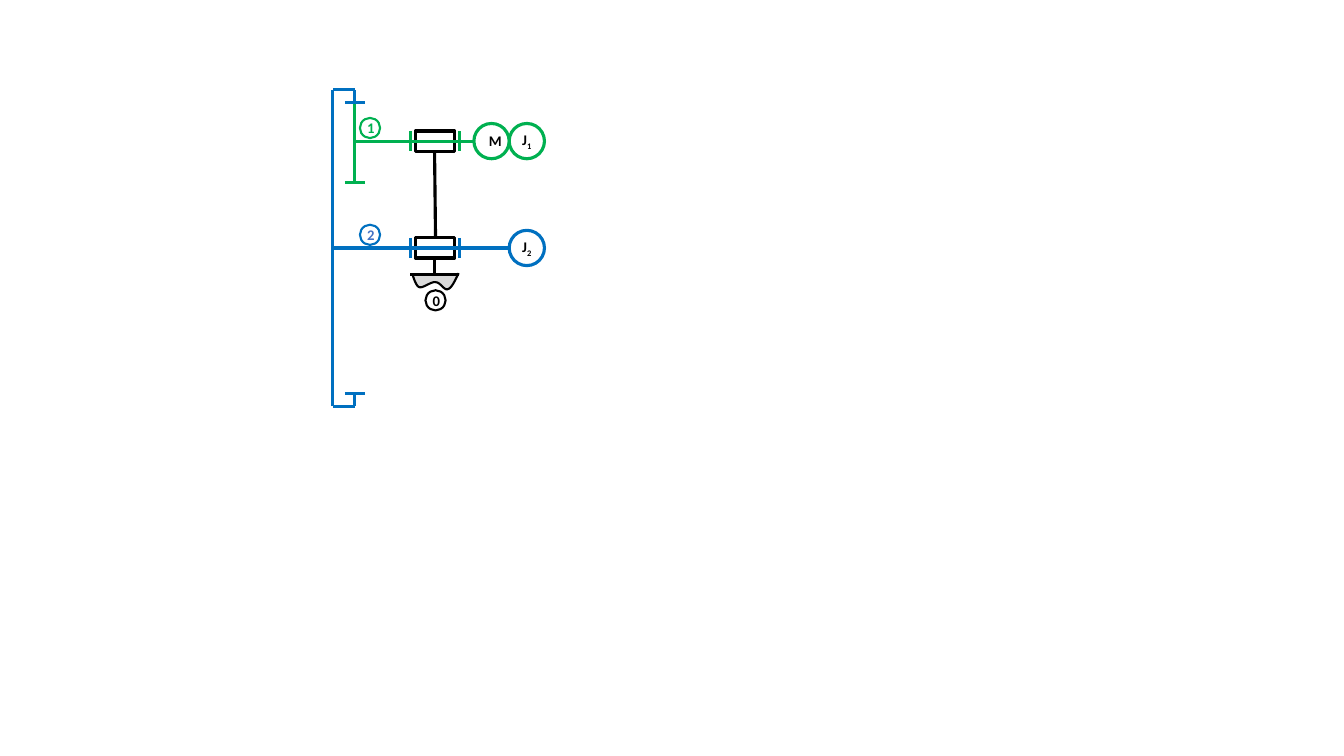
"""Draw the kinematic diagram of an internal gear pair driven by a motor."""
import lxml.etree
import pptx
import pptx.dml.color
import pptx.enum.shapes
import pptx.enum.text
import pptx.oxml.ns
import pptx.util

Inches = pptx.util.Inches
RGBColor = pptx.dml.color.RGBColor
Shapes = pptx.enum.shapes.MSO_SHAPE

BLACK = RGBColor(0, 0, 0)
WHITE = RGBColor(255, 255, 255)
GREY = RGBColor(0xD9, 0xD9, 0xD9)
GREEN = RGBColor(0x00, 0xB0, 0x50)
BLUE = RGBColor(0x00, 0x70, 0xC0)
LABEL_BLUE = RGBColor(0x44, 0x72, 0xC4)
THICK, THIN = 2.25, 1.5
BODY_RADIUS, LABEL_RADIUS = 0.175, 0.1
AXIS_1, AXIS_2 = 1.4, 2.46
RING_X, GEAR_X, BEARING_X, INERTIA_X = 3.3, 3.52, 4.315, 5.225


def draw_line(page, start, end, color):
    """Draw a straight thick line between two points."""
    line = page.shapes.add_connector(
        pptx.enum.shapes.MSO_CONNECTOR.STRAIGHT, *map(Inches, start + end))
    line.line.color.rgb = color
    line.line.width = pptx.util.Pt(THICK)
    lxml.etree.SubElement(line._element.spPr, pptx.oxml.ns.qn("a:effectLst"))


def draw_tooth(page, y, color):
    """Draw the short bar that marks a gear's toothed edge."""
    draw_line(page, (GEAR_X - 0.1, y), (GEAR_X + 0.1, y), color)


def style_shape(shape, color, width, fill=None):
    """Set outline and fill, and remove the shadow."""
    shape.shadow.inherit = False
    shape.line.color.rgb = color
    shape.line.width = pptx.util.Pt(width)
    if fill is None:
        shape.fill.background()
    else:
        shape.fill.solid()
        shape.fill.fore_color.rgb = fill


def draw_circle(page, center, radius, color, width, text,
                text_color=BLACK, subscript="", fill=None):
    """Draw a circle with a centred bold label."""
    x, y = center
    circle = page.shapes.add_shape(
        Shapes.OVAL, Inches(x - radius), Inches(y - radius),
        Inches(2 * radius), Inches(2 * radius))
    style_shape(circle, color, width, fill)
    frame = circle.text_frame
    frame.vertical_anchor = pptx.enum.text.MSO_ANCHOR.MIDDLE
    para = frame.paragraphs[0]
    para.alignment = pptx.enum.text.PP_ALIGN.CENTER
    para.font.name = "Calibri"
    para.font.size = pptx.util.Pt(10.5)
    para.font.bold = True
    para.font.color.rgb = text_color
    para.add_run().text = text
    if subscript:
        frame.margin_left = frame.margin_right = 0
        frame.margin_top = frame.margin_bottom = 0
        span = para.add_run()
        span.text = subscript
        span._r.get_or_add_rPr().set("baseline", "-25000")


def draw_bearing(page, y, color):
    """Draw a bearing housing with a stop on each side."""
    housing = page.shapes.add_shape(
        Shapes.RECTANGLE, Inches(BEARING_X - 0.195), Inches(y - 0.1),
        Inches(0.39), Inches(0.2))
    style_shape(housing, BLACK, THICK, WHITE)
    for x in (BEARING_X - 0.24, BEARING_X + 0.245):
        draw_line(page, (x, y - 0.1), (x, y + 0.1), color)


def curve_points(start, curves, steps=10):
    """Return points along a chain of cubic curves."""
    points = []
    for first, second, end in curves:
        for step in range(1, steps + 1):
            t = step / steps
            weights = ((1 - t) ** 3, 3 * t * (1 - t) ** 2,
                       3 * t * t * (1 - t), t ** 3)
            corners = (start, first, second, end)
            points.append(tuple(
                Inches(sum(w * c[axis] for w, c in zip(weights, corners)))
                for axis in (0, 1)))
        start = end
    return points


def draw_ground(page):
    """Draw the grey fixed frame under the lower bearing."""
    start = (4.09, 2.72)
    curves = (
        ((4.11, 2.78), (4.13, 2.84), (4.16, 2.85)),
        ((4.2, 2.86), (4.28, 2.79), (4.32, 2.8)),
        ((4.37, 2.8), (4.4, 2.88), (4.44, 2.87)),
        ((4.48, 2.86), (4.51, 2.79), (4.55, 2.71)),
    )
    builder = page.shapes.build_freeform(*map(Inches, start))
    builder.add_line_segments(curve_points(start, curves), close=False)
    style_shape(builder.convert_to_shape(), BLACK, THIN, GREY)
    draw_line(page, (4.31, 2.56), (4.31, 2.71), BLACK)
    draw_line(page, (4.55, 2.72), (4.07, 2.72), BLACK)


def draw_ring_gear(page):
    """Draw the blue ring gear bracket with its two toothed edges."""
    top, bottom = 0.89, 4.03
    draw_line(page, (RING_X, bottom), (RING_X, top), BLUE)
    for edge, tooth in ((top, 1.02), (bottom, 3.9)):
        draw_line(page, (GEAR_X, edge), (RING_X, edge), BLUE)
        draw_line(page, (GEAR_X, tooth), (GEAR_X, edge), BLUE)
        draw_tooth(page, tooth, BLUE)


def main():
    """Build the slide and save it."""
    deck = pptx.Presentation()
    deck.slide_width, deck.slide_height = Inches(13.33), Inches(7.5)
    page = deck.slides.add_slide(deck.slide_layouts[6])

    draw_ground(page)
    draw_bearing(page, AXIS_2, BLUE)
    draw_line(page, (4.31, 1.5), (4.32, 2.36), BLACK)
    draw_bearing(page, AXIS_1, GREEN)

    draw_line(page, (GEAR_X, 1.8), (GEAR_X, 1.02), GREEN)
    draw_tooth(page, 1.81, GREEN)
    draw_ring_gear(page)

    shafts = ((AXIS_1, GEAR_X, GREEN, GREEN, "1"),
              (AXIS_2, RING_X, BLUE, LABEL_BLUE, "2"))
    for y, left, color, label_color, number in shafts:
        draw_line(page, (5.05, y), (left, y), color)
        draw_circle(page, (INERTIA_X, y), BODY_RADIUS, color, THICK, "J",
                    subscript=number)
        draw_circle(page, (3.67, y - 0.13), LABEL_RADIUS, color, THIN, number,
                    label_color)
    draw_circle(page, (4.32, 2.98), LABEL_RADIUS, BLACK, THIN, "0")
    draw_circle(page, (4.875, AXIS_1), BODY_RADIUS, GREEN, THICK, "M",
                fill=WHITE)
    deck.save("out.pptx")


if __name__ == "__main__":
    main()
